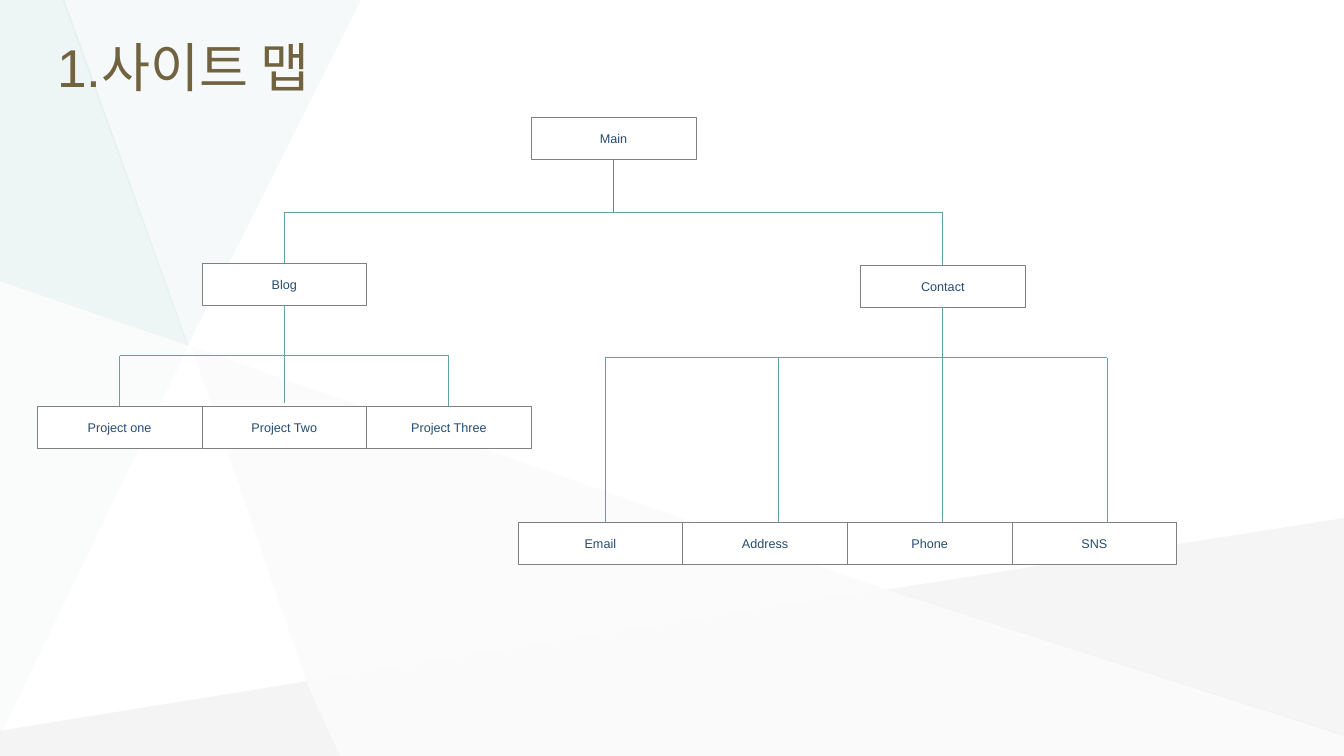
import pptx
import pptx.dml.color
import pptx.enum.shapes
import pptx.enum.text
import pptx.oxml
import pptx.oxml.ns
import pptx.util

INK = {"title": "716340", "text": "264C72", "edge": "808080", "line": "5FA4A2",
       "box": "FFFFFF", "pale": "F3F2F2", "gray": "B6B8BA", "mist": "E0EDED",
       "ash": "C6C8CA", "mint": "C1DBDB"}
WIDE, HIGH = 13.33, 7.5
COL, TALL = 1.633, 0.42  # node column and node height
EDGE = 0.37  # left side of the first column

# Backdrop facets: colour, opacity in percent, corners
FACETS = [
    ("pale", 26, [(1.9, 3.44), (3.04, 6.76), (8.79, 5.85)]),
    ("gray", 15, [(3.04, 6.76), (0, 7.25), (0, HIGH), (3.37, HIGH)]),
    ("mist", 31, [(3.58, 0), (0.62, 0), (1.86, 3.43)]),
    ("ash", 17, [(WIDE, 5.14), (8.79, 5.85), (WIDE, 7.3)]),
    ("gray", 6, [(8.79, 5.85), (3.05, 6.76), (3.37, HIGH), (WIDE, HIGH), (WIDE, 7.29)]),
    ("mint", 27, [(0.64, 0), (0, 0), (0, 2.79), (1.87, 3.43)]),
    ("mint", 8, [(0, 2.79), (0, 7.3), (1.87, 3.43)]),
]


def inch(*sizes):
    return [pptx.util.Inches(size) for size in sizes]


def tint(name):
    return pptx.dml.color.RGBColor.from_string(INK[name])


def left(col):
    return EDGE + col * COL


def mid(col):
    return left(col + 0.5)


def write(shape, text, size, color, align):
    frame = shape.text_frame
    frame.word_wrap = True
    frame.vertical_anchor = pptx.enum.text.MSO_ANCHOR.MIDDLE
    para = frame.paragraphs[0]
    para.alignment = align
    run = para.add_run()
    run.text = text
    run.font.name = "Arial"
    run.font.size = pptx.util.Pt(size)
    run.font.color.rgb = tint(color)


def facet(slide, color, alpha, points):
    corners = [inch(*point) for point in points]
    build = slide.shapes.build_freeform(*corners[0])
    build.add_line_segments(corners[1:], close=True)
    shape = build.convert_to_shape()
    shape.shadow.inherit = False
    shape.line.fill.background()
    shape.fill.solid()
    shape.fill.fore_color.rgb = tint(color)
    paint = shape.fill._xPr.find(".//" + pptx.oxml.ns.qn("a:srgbClr"))
    node = pptx.oxml.parse_xml(
        f'<a:alpha {pptx.oxml.ns.nsdecls("a")} val="{alpha * 1000}"/>')
    paint.append(node)


def head(slide, x, y, wide, high):
    box = slide.shapes.add_textbox(*inch(x, y, wide, high))
    write(box, "1.사이트 맵", size=38, color="title",
          align=pptx.enum.text.PP_ALIGN.LEFT)


def node(slide, text, col, top):
    box = slide.shapes.add_shape(pptx.enum.shapes.MSO_SHAPE.RECTANGLE,
                                 *inch(left(col), top, COL, TALL))
    box.shadow.inherit = False
    box.fill.solid()
    box.fill.fore_color.rgb = tint("box")
    box.line.color.rgb = tint("edge")
    box.line.width = pptx.util.Pt(0.25)
    write(box, text, size=9, color="text", align=pptx.enum.text.PP_ALIGN.CENTER)


def link(slide, x, y, end_x, end_y, color="line"):
    line = slide.shapes.add_connector(pptx.enum.shapes.MSO_CONNECTOR.STRAIGHT,
                                      *inch(x, y, end_x, end_y))
    line.line.color.rgb = tint(color)
    line.line.width = pptx.util.Pt(0.75)
    line._element.spPr.append(pptx.oxml.parse_xml(
        f'<a:effectLst {pptx.oxml.ns.nsdecls("a")}/>'))


def root(slide, col, top, bar, kids):
    """Top node, its stem, and the bar down to the (column, top) of each kid."""
    node(slide, "Main", col, top)
    link(slide, mid(col), top + TALL, mid(col), bar, color="edge")
    for kid, end in kids:
        link(slide, mid(col), bar, mid(kid), bar)
        link(slide, mid(kid), bar, mid(kid), end)


def branch(slide, text, col, top, stem, drops, row, base, kids):
    """Node with a stem, a bar with drops at given columns, and a row of kids."""
    bar = top + TALL + 0.5
    node(slide, text, col, top)
    link(slide, mid(col), top + TALL, mid(col), stem)
    link(slide, mid(drops[0]), bar, mid(drops[-1]), bar)
    for drop in drops:
        link(slide, mid(drop), bar, mid(drop), base)
    for step, kid in enumerate(kids):
        node(slide, kid, row + step, base)


def main():
    deck = pptx.Presentation()
    deck.slide_width, deck.slide_height = inch(WIDE, HIGH)
    slide = deck.slides.add_slide(deck.slide_layouts[6])

    # Backdrop and title
    for color, alpha, points in FACETS:
        facet(slide, color, alpha, points)
    head(slide, 0.47, 0.14, 12.36, 1.03)

    # Site map
    blog, contact = 2.61, 2.63
    root(slide, 3, 1.16, 2.11, [(1, blog), (5, contact)])
    branch(slide, "Blog", 1, blog, stem=4, drops=[0, 2], row=0, base=4.03,
           kids=["Project one", "Project Two", "Project Three"])
    branch(slide, "Contact", 5, contact, stem=5.18, drops=[2.95, 4, 6],
           row=2.92, base=5.18, kids=["Email", "Address", "Phone", "SNS"])

    deck.save("out.pptx")


if __name__ == "__main__":
    main()
